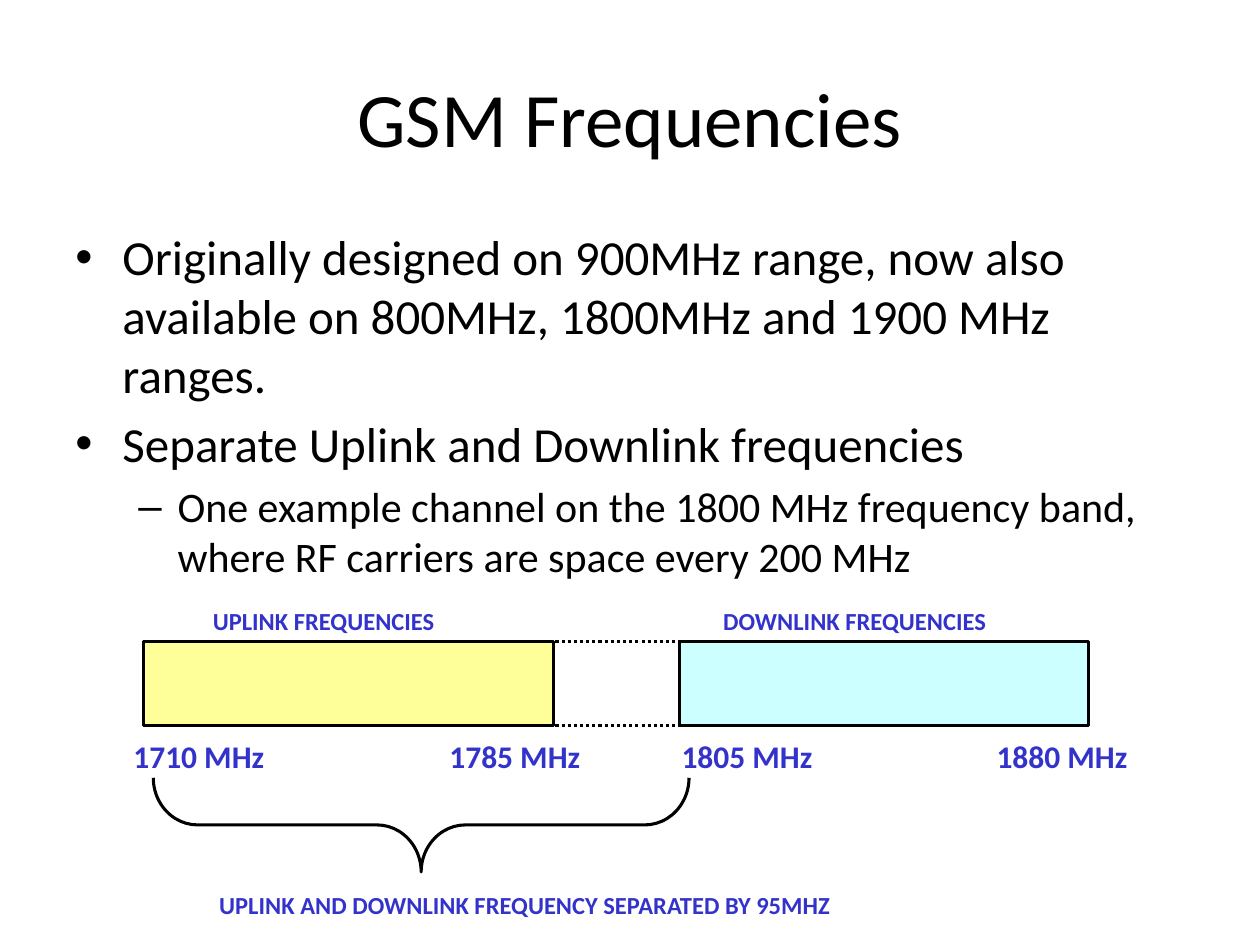
from lxml.etree import SubElement
from pptx import Presentation
from pptx.dml.color import RGBColor
from pptx.enum.dml import MSO_LINE
from pptx.enum.shapes import MSO_CONNECTOR, MSO_SHAPE
from pptx.enum.text import MSO_ANCHOR, PP_ALIGN
from pptx.oxml.ns import qn
from pptx.util import Cm, Pt

BLACK, BLUE, YELLOW, CYAN = "000000", "3333CC", "FFFF99", "CCFFFF"
BAR_TOP, BAR_WIDTH, BAR_HEIGHT = 12.93, 8.26, 1.7
BANDS = [(2.9, YELLOW), (13.69, CYAN)]
GAP_START, GAP_END = 10.95, 13.89
LIMIT_TOP, LIMIT_WIDTH, LIMIT_HEIGHT = 14.73, 3.4, 1.02
LIMITS = [("1710 MHz", 2.44), ("1785 MHz", 8.81),
          ("1805 MHz", 13.49), ("1880 MHz", 19.84)]
CAPTION_HEIGHT = 0.84
CAPTIONS = [
    ("UPLINK FREQUENCIES", 4.04, 12.09, 6.07),
    ("DOWNLINK FREQUENCIES", 14.33, 12.09, 6.93),
    ("UPLINK AND DOWNLINK FREQUENCY SEPARATED BY 95MHZ", 4.17, 17.81, 15.42),
]
LEVELS = [
    {"bullet": "•", "size": 28, "margin": 0.95, "hang": 0.95},
    {"bullet": "–", "size": 24, "margin": 2.06, "hang": 0.79},
]
POINTS = [
    (0, "Originally designed on 900MHz range, now also available on "
        "800MHz, 1800MHz and 1900 MHz ranges."),
    (0, "Separate Uplink and Downlink frequencies"),
    (1, "One example channel on the 1800 MHz frequency band, "
        "where RF carriers are space every 200 MHz"),
]


def color(hex_code):
    """Return the colour for a hex string."""
    return RGBColor.from_string(hex_code)


def apply(target, values):
    """Set each attribute of target from a dict."""
    for name, value in values.items():
        setattr(target, name, value)


def box(*lengths):
    """Convert left, top, width and height to Cm."""
    return [Cm(length) for length in lengths]


def write(paragraph, text, size, ink=BLACK, bold=False):
    """Add one formatted run to a paragraph."""
    run = paragraph.add_run()
    run.text = text
    apply(run.font, {"name": "Calibri", "size": Pt(size), "bold": bold})
    run.font.color.rgb = color(ink)


def outline(stroke, dash=None):
    """Give a line the diagram's stroke."""
    apply(stroke, {"width": Pt(1.75), "dash_style": dash})
    stroke.color.rgb = color(BLACK)


def add_title(slide, text):
    """Add the centred heading."""
    frame = slide.shapes.add_textbox(*box(1.27, 0.76, 22.86, 3.18)).text_frame
    apply(frame, {"word_wrap": True, "vertical_anchor": MSO_ANCHOR.MIDDLE})
    heading = frame.paragraphs[0]
    heading.alignment = PP_ALIGN.CENTER
    write(heading, text, 44)


def add_points(slide):
    """Add the two-level bulleted list."""
    frame = slide.shapes.add_textbox(*box(1.27, 4.45, 22.86, 12.57)).text_frame
    frame.word_wrap = True
    for index, (level, text) in enumerate(POINTS):
        point = frame.add_paragraph() if index else frame.paragraphs[0]
        style = LEVELS[level]
        apply(point, {"level": level, "space_before": Pt(style["size"] * 0.2)})
        write(point, text, style["size"])
        props = point._p.get_or_add_pPr()
        props.set("marL", str(Cm(style["margin"])))
        props.set("indent", str(-Cm(style["hang"])))
        SubElement(props, qn("a:buFont")).set("typeface", "Arial")
        SubElement(props, qn("a:buChar")).set("char", style["bullet"])


def add_label(slide, text, place, size):
    """Add a bold blue label on one line."""
    frame = slide.shapes.add_textbox(*box(*place)).text_frame
    frame.word_wrap = False
    write(frame.paragraphs[0], text, size, BLUE, True)


def add_figure(slide, kind, place, fill=None):
    """Add an outlined preset shape, filled or hollow."""
    figure = slide.shapes.add_shape(kind, *box(*place))
    figure.shadow.inherit = False
    if fill:
        figure.fill.solid()
        figure.fill.fore_color.rgb = color(fill)
    else:
        figure.fill.background()
    outline(figure.line)
    return figure


def add_gap_edge(slide, height):
    """Add a dotted horizontal line between the bands."""
    edge = slide.shapes.add_connector(
        MSO_CONNECTOR.STRAIGHT, *box(GAP_START, height, GAP_END, height))
    outline(edge.line, MSO_LINE.ROUND_DOT)
    SubElement(edge._element.spPr, qn("a:effectLst"))


def add_brace(slide):
    """Add the downward brace that spans the duplex distance."""
    brace = add_figure(slide, MSO_SHAPE.RIGHT_BRACE, (7.54, 11.23, 1.9, 10.8))
    brace.rotation = 90
    brace.adjustments[0] = 0.47
    brace.adjustments[1] = 0.5


def main():
    """Build and save the slide."""
    deck = Presentation()
    apply(deck, {"slide_width": Cm(25.4), "slide_height": Cm(19.05)})
    slide = deck.slides.add_slide(deck.slide_layouts[6])
    add_title(slide, "GSM Frequencies")
    add_points(slide)
    for left, fill in BANDS:
        add_figure(slide, MSO_SHAPE.RECTANGLE,
                   (left, BAR_TOP, BAR_WIDTH, BAR_HEIGHT), fill)
    for height in (BAR_TOP, BAR_TOP + BAR_HEIGHT):
        add_gap_edge(slide, height)
    for text, left in LIMITS:
        add_label(slide, text, (left, LIMIT_TOP, LIMIT_WIDTH, LIMIT_HEIGHT), 18)
    add_brace(slide)
    for text, left, top, width in CAPTIONS:
        add_label(slide, text, (left, top, width, CAPTION_HEIGHT), 14)
    deck.save("out.pptx")


main()
